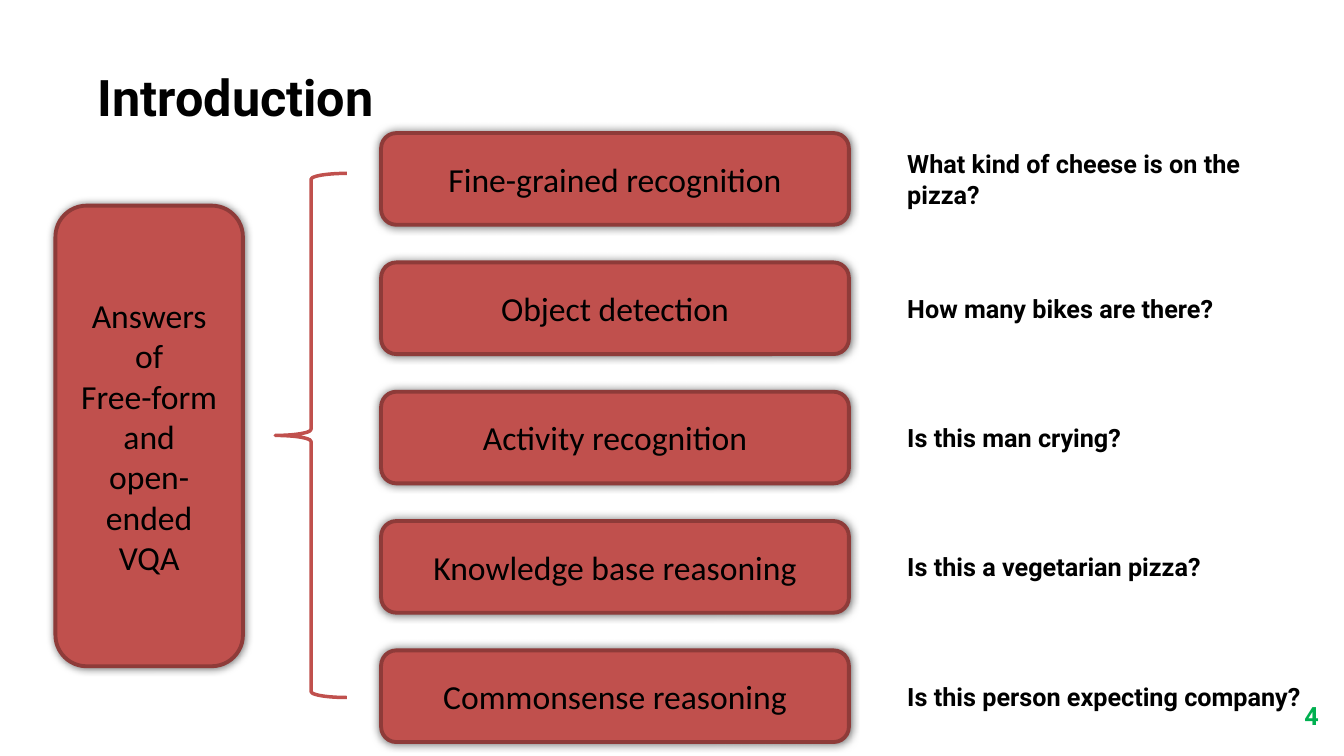
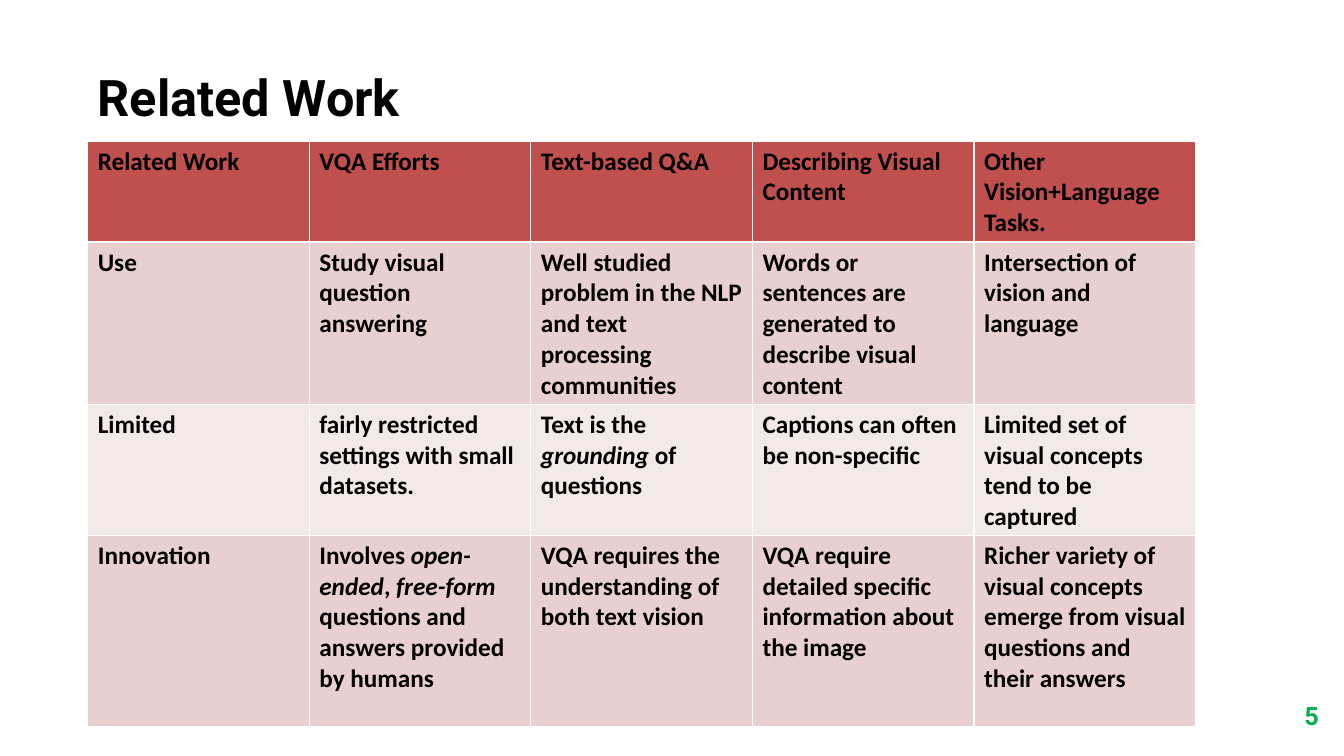
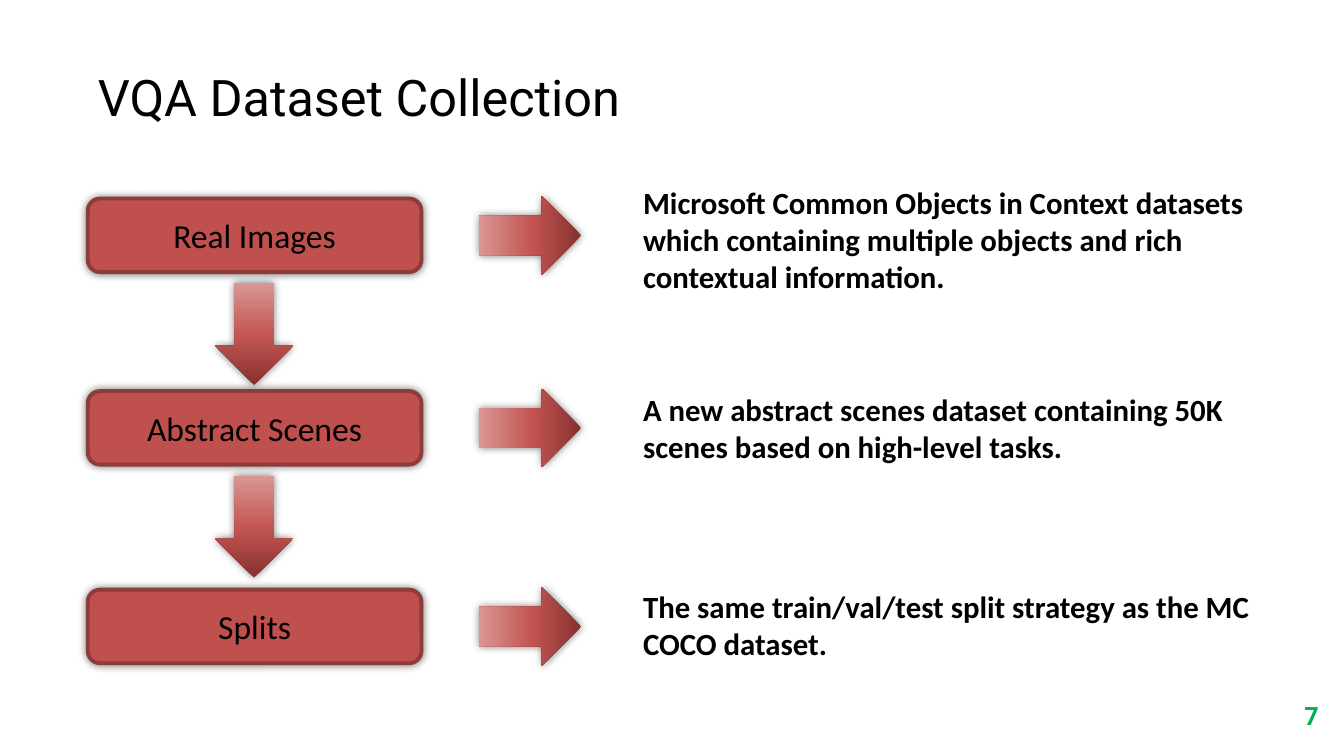
from copy import deepcopy

from lxml.etree import SubElement
from pptx import Presentation
from pptx.dml.color import RGBColor as Rgb
from pptx.enum.shapes import MSO_SHAPE as Kind
from pptx.enum.text import MSO_ANCHOR as Anchor, PP_ALIGN as Align
from pptx.oxml.ns import qn
from pptx.util import Inches, Pt

HUE = {
    "ink": "000000", "red": "C0504D", "edge": "8E3B39", "page": "00B050",
    "dark": "85312F", "mid": "C25552", "pale": "D99694",
    "odd": "E8D0D0", "even": "F4E9E9",
}
SANS, HEAD = "Calibri", "Roboto"

KINDS = [
    ("Fine-grained recognition", "What kind of cheese is on the pizza?", 3.77),
    ("Object detection", "How many bikes are there?", 4.4),
    ("Activity recognition", "Is this man crying?", 4.4),
    ("Knowledge base reasoning", "Is this a vegetarian pizza?", 4.4),
    ("Commonsense reasoning", "Is this person expecting company?", 4.4),
]
WORKS = [
    ["Related Work", "VQA Efforts", "Text-based Q&A",
     "Describing Visual Content", "Other Vision+Language Tasks."],
    ["Use", "Study visual question answering",
     "Well studied problem in the NLP and text processing communities",
     "Words or sentences are generated to describe visual content",
     "Intersection of vision and language"],
    ["Limited", "fairly restricted settings with small datasets.",
     "Text is the *grounding *of questions",
     "Captions can often be non-specific",
     "Limited set of visual concepts tend to be captured"],
    ["Innovation",
     "Involves *open-*\n*ended*, *free-form *questions and answers provided by humans",
     "VQA requires the understanding of both text vision",
     "VQA require detailed specific information about the image",
     "Richer variety of visual concepts emerge from visual questions and their answers"],
]
STEPS = [
    ("Real Images", 1.97, 1.77,
     "Microsoft Common Objects in Context datasets which containing "
     "multiple objects and rich contextual information."),
    ("Abstract Scenes", 3.88, 3.83,
     "A new abstract scenes dataset containing 50K scenes based on high-level tasks."),
    ("Splits", 5.85, 5.78,
     "The same train/val/test split strategy as the MC COCO dataset."),
]


def tint(name):
    return Rgb.from_string(HUE[name])


def box(*sides):
    return [Inches(side) for side in sides]


def write(frame, text, size=18, face=SANS, bold=True, hue="ink",
          align=Align.LEFT, anchor=Anchor.TOP):
    frame.word_wrap = True
    frame.vertical_anchor = anchor
    for row, line in enumerate(text.split("\n")):
        para = frame.paragraphs[0] if row == 0 else frame.add_paragraph()
        para.alignment = align
        for spot, part in enumerate(line.split("*")):
            if part:
                run = para.add_run()
                run.text = part
                font = run.font
                font.size, font.name, font.bold = Pt(size), face, bold
                font.italic = spot % 2 == 1
                font.color.rgb = tint(hue)


def label(slide, area, text, **style):
    frame = slide.shapes.add_textbox(*box(*area)).text_frame
    write(frame, text, **style)
    return frame


def shade(shape):
    shape.shadow.inherit = False
    glow = SubElement(shape._element.spPr.find(qn("a:effectLst")), qn("a:outerShdw"),
                      blurRad=str(Pt(6)), dist="0", dir="13500000", rotWithShape="0")
    tone = SubElement(glow, qn("a:srgbClr"), val=HUE["ink"])
    SubElement(tone, qn("a:alpha"), val="55000")


def card(slide, area, text):
    shape = slide.shapes.add_shape(Kind.ROUNDED_RECTANGLE, *box(*area))
    shape.fill.solid()
    shape.fill.fore_color.rgb = tint("red")
    shape.line.color.rgb = tint("edge")
    shape.line.width = Pt(2.75)
    shade(shape)
    write(shape.text_frame, text, size=24, bold=False,
          align=Align.CENTER, anchor=Anchor.MIDDLE)


def arrow(slide, left, top, turn=0):
    shape = slide.shapes.add_shape(Kind.DOWN_ARROW, *box(left, top, 0.78, 1.01))
    shape.rotation = turn
    shape.line.fill.background()
    fill = shape.fill
    fill.gradient()
    fill.gradient_angle = 90
    stops = shape._element.spPr.find(qn("a:gradFill")).find(qn("a:gsLst"))
    stops.append(deepcopy(stops[0]))
    marks = [(0, "dark"), (0.48, "mid"), (1, "pale")]
    for stop, (place, name) in zip(fill.gradient_stops, marks):
        stop.position = place
        stop.color.rgb = tint(name)
    shade(shape)


def brace(slide, area):
    shape = slide.shapes.add_shape(Kind.LEFT_BRACE, *box(*area))
    shape.fill.background()
    shape.line.color.rgb = tint("red")
    shape.line.width = Pt(2.5)
    shape.shadow.inherit = False


def start(deck, title, page, bold=True):
    slide = deck.slides.add_slide(deck.slide_layouts[5])
    head = slide.shapes.title
    head.left, head.top, head.width, head.height = box(0.87, 0.61, 7.78, 0.71)
    write(head.text_frame, title, size=36, face=HEAD, bold=bold)
    foot = label(slide, (12.66, 6.95, 0.42, 0.3), page, face=HEAD, hue="page",
                 align=Align.RIGHT, anchor=Anchor.MIDDLE)
    foot.margin_left = foot.margin_right = foot.margin_top = foot.margin_bottom = 0
    return slide


def tree(slide, left, top):
    card(slide, (left, top + 0.72, 1.86, 4.57),
         "Answers of\nFree-form and\nopen-ended VQA")
    brace(slide, (left + 2.18, top + 0.4, 0.71, 5.2))
    for row, (name, query, wide) in enumerate(KINDS):
        high = top + row * 1.283
        card(slide, (left + 3.23, high, 4.64, 0.91), name)
        label(slide, (left + 8.35, high, wide, 0.91), query,
              face=HEAD, anchor=Anchor.MIDDLE)


def grid(slide, left, top):
    highs = [0.99, 1.61, 1.3, 1.9]
    area = box(left, top, 10.99, sum(highs))
    table = slide.shapes.add_table(len(WORKS), len(WORKS[0]), *area).table
    for row, (texts, high) in enumerate(zip(WORKS, highs)):
        table.rows[row].height = Inches(high)
        name = "red" if row == 0 else "odd" if row % 2 else "even"
        for col, text in enumerate(texts):
            cell = table.cell(row, col)
            cell.fill.solid()
            cell.fill.fore_color.rgb = tint(name)
            write(cell.text_frame, text)


def flow(slide, left):
    for row, (name, top, high, text) in enumerate(STEPS):
        card(slide, (left, top, 3.31, 0.73), name)
        arrow(slide, left + 4, top - 0.14, turn=270)
        label(slide, (left + 5.41, high, 6.35, 0.84), text, size=22)
        if row < len(STEPS) - 1:
            arrow(slide, left + 1.26, top + 0.84)


def main():
    deck = Presentation()
    deck.slide_width, deck.slide_height = box(13.33, 7.5)
    tree(start(deck, "Introduction", "4"), 0.55, 1.32)
    grid(start(deck, "Related Work", "5"), 0.87, 1.4)
    flow(start(deck, "VQA Dataset Collection", "7", bold=False), 0.87)
    deck.save("out.pptx")


if __name__ == "__main__":
    main()
